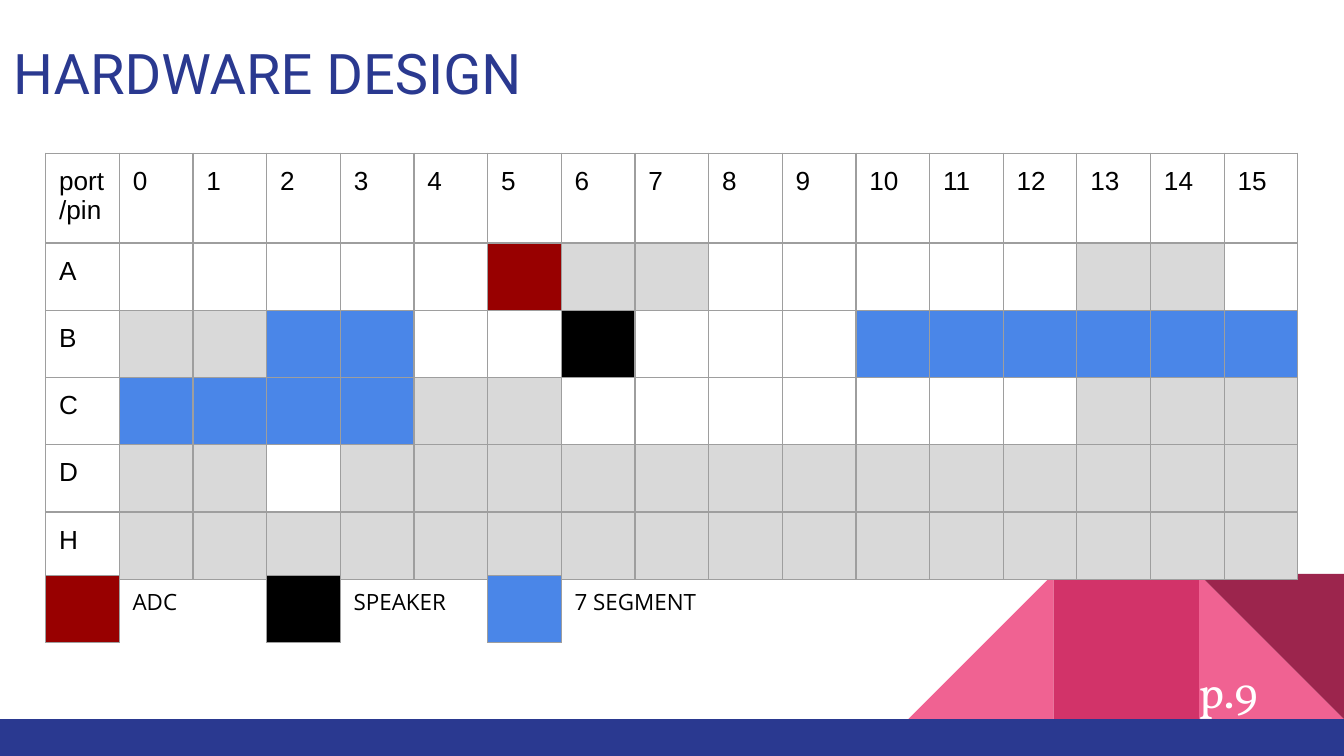
from dataclasses import dataclass

from lxml import etree
from pptx import Presentation
from pptx import util as u
from pptx.dml.color import RGBColor
from pptx.enum import shapes, text
from pptx.oxml import ns

COLORS = {
    "navy": "2A3990", "pink": "F06292", "rose": "D23369", "plum": "9C254D",
    "white": "FFFFFF", "black": "000000", "border": "9E9E9E",
    "free": "FFFFFF", "reserved": "D9D9D9",
    "adc": "980000", "speaker": "000000", "segment": "4A86E8",
}
PIN_USES = {".": "free", "x": "reserved", "A": "adc", "P": "speaker", "S": "segment"}
PORTS = {
    "A": ".....Axx.....xx.",
    "B": "xxSS..P...SSSSSS",
    "C": "SSSSxx.......xxx",
    "D": "xx.xxxxxxxxxxxxx",
    "H": "xxxxxxxxxxxxxxxx",
}
PIN_COUNT = 16
SLIDE_WIDTH = u.Inches(10)
SLIDE_HEIGHT = SLIDE_WIDTH * 9 // 16
LEFT = u.Inches(0.34)
COLUMN = u.Inches(9.32) // (PIN_COUNT + 1)
ROW = u.Inches(0.43)
LEGEND_TOP = u.Inches(4.28)
MARGINS = dict.fromkeys(
    ("margin_left", "margin_top", "margin_right", "margin_bottom"), u.Inches(0.1))


@dataclass
class Style:
    size: int
    font: str
    color: str


@dataclass
class Block:
    kind: shapes.MSO_SHAPE
    left: float
    color: str
    flipped: bool = False
    rotation: int = 0


@dataclass
class LegendEntry:
    label: str
    use: str
    width: float


TITLE = Style(30, "Roboto", "navy")
TABLE_TEXT = Style(14, "Arial", "black")
LEGEND_TEXT = Style(12, "Open Sans", "black")
PAGE_TEXT = Style(24, "Vollkorn", "white")

BLOCK_TOP, BLOCK_SIDE = 4.27, 1.08
BLOCKS = [
    Block(shapes.MSO_SHAPE.RIGHT_TRIANGLE, 8.92, "pink"),
    Block(shapes.MSO_SHAPE.RIGHT_TRIANGLE, 6.76, "pink", flipped=True),
    Block(shapes.MSO_SHAPE.RECTANGLE, 7.84, "rose"),
    Block(shapes.MSO_SHAPE.RIGHT_TRIANGLE, 8.92, "plum", rotation=180),
]
LEGEND = [
    LegendEntry("ADC", "adc", 0.59),
    LegendEntry("SPEAKER", "speaker", 0.94),
    LegendEntry("7 SEGMENT", "segment", 1.17),
]


def rgb(name: str) -> RGBColor:
    return RGBColor.from_string(COLORS[name])


def set_all(target, values: dict) -> None:
    for name, value in values.items():
        setattr(target, name, value)


def write(frame, words: str, style: Style) -> None:
    run = frame.paragraphs[0].add_run()
    run.text = words
    set_all(run.font, {"size": u.Pt(style.size), "name": style.font})
    run.font.color.rgb = rgb(style.color)


def add_label(slide, left: int, top: int, width: int, height: int,
              words: str, style: Style, wrap: bool = False) -> None:
    frame = slide.shapes.add_textbox(left, top, width, height).text_frame
    set_all(frame, {**MARGINS, "word_wrap": wrap,
                    "vertical_anchor": text.MSO_ANCHOR.TOP})
    write(frame, words, style)


def add_solid(parent, kind: shapes.MSO_SHAPE, left: float, top: float,
              width: float, height: float, color: str):
    solid = parent.shapes.add_shape(kind, *map(u.Inches, (left, top, width, height)))
    solid.shadow.inherit = False
    solid.fill.solid()
    solid.fill.fore_color.rgb = rgb(color)
    solid.line.fill.background()
    return solid


def add_decoration(slide) -> None:
    group = slide.shapes.add_group_shape()
    for block in BLOCKS:
        solid = add_solid(group, block.kind, block.left, BLOCK_TOP,
                          BLOCK_SIDE, BLOCK_SIDE, block.color)
        solid.rotation = block.rotation
        if block.flipped:
            solid._element.spPr.xfrm.set("flipH", "1")
    add_solid(group, shapes.MSO_SHAPE.RECTANGLE, 0, 5.35, 10, 0.28, "navy")


def outline(cell) -> None:
    """Draw the four cell borders, which must come before the fill."""
    properties = cell._tc.get_or_add_tcPr()
    for side in ("a:lnL", "a:lnR", "a:lnT", "a:lnB"):
        line = etree.SubElement(properties, ns.qn(side), w=str(u.Pt(0.75)))
        fill = etree.SubElement(line, ns.qn("a:solidFill"))
        etree.SubElement(fill, ns.qn("a:srgbClr"), val=COLORS["border"])


def add_grid(slide, left: int, top: int, rows: int, columns: int):
    """Add an outlined table whose rows grow to fit their text."""
    grid = slide.shapes.add_table(rows, columns, left, top,
                                  COLUMN * columns, ROW * rows).table
    grid.first_row = grid.horz_banding = False
    for column in grid.columns:
        column.width = COLUMN
    for cell in grid.iter_cells():
        set_all(cell, MARGINS)
        outline(cell)
        cell.fill.background()
    return grid


def paint(cell, use: str) -> None:
    cell.fill.solid()
    cell.fill.fore_color.rgb = rgb(use)


def add_pin_map(slide) -> None:
    grid = add_grid(slide, LEFT, u.Inches(1.14), len(PORTS) + 1, PIN_COUNT + 1)
    for column, heading in enumerate(["port/pin", *map(str, range(PIN_COUNT))]):
        write(grid.cell(0, column).text_frame, heading, TABLE_TEXT)
    for row, (port, pins) in enumerate(PORTS.items(), 1):
        write(grid.cell(row, 0).text_frame, port, TABLE_TEXT)
        for pin, mark in enumerate(pins, 1):
            paint(grid.cell(row, pin), PIN_USES[mark])


def add_legend(slide) -> None:
    for index, entry in enumerate(LEGEND):
        left = LEFT + 3 * COLUMN * index
        swatch = add_grid(slide, left, LEGEND_TOP, 1, 1)
        paint(swatch.cell(0, 0), entry.use)
        add_label(slide, left + COLUMN, LEGEND_TOP, u.Inches(entry.width), ROW,
                  entry.label, LEGEND_TEXT)


def main() -> None:
    deck = Presentation()
    deck.slide_width, deck.slide_height = SLIDE_WIDTH, SLIDE_HEIGHT
    slide = deck.slides.add_slide(deck.slide_layouts[6])
    add_decoration(slide)
    add_label(slide, 0, u.Inches(0.19), u.Inches(4.77), u.Inches(0.62),
              "HARDWARE DESIGN", TITLE, wrap=True)
    add_pin_map(slide)
    add_legend(slide)
    add_label(slide, u.Inches(8.82), u.Inches(4.84), u.Inches(0.81), u.Inches(0.56),
              "p.9", PAGE_TEXT, wrap=True)
    deck.save("out.pptx")


if __name__ == "__main__":
    main()
